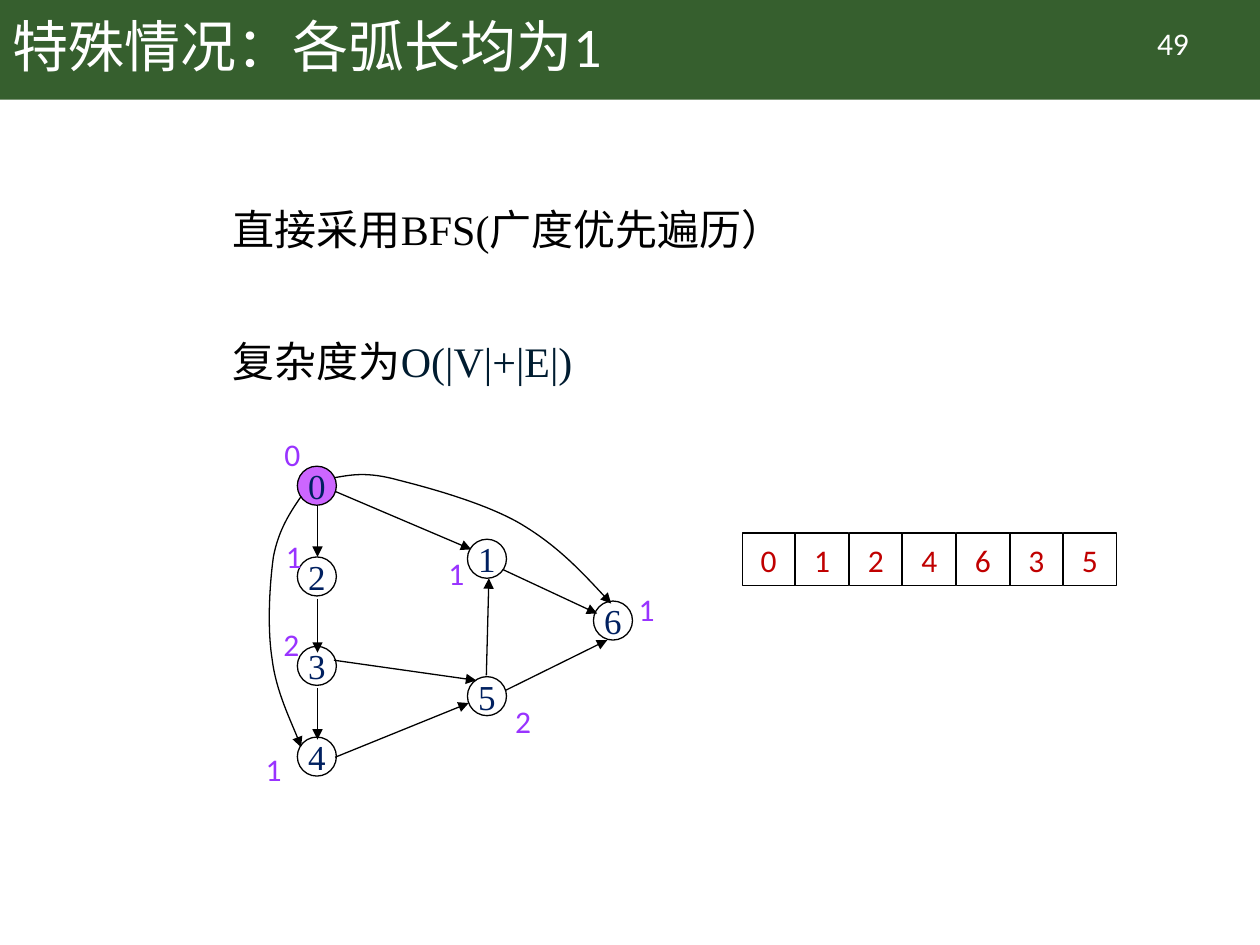
from lxml import etree
from pptx import Presentation
from pptx.dml.color import RGBColor
from pptx.enum import shapes, text
from pptx.oxml.ns import qn
from pptx.util import Inches, Pt

# Content
TITLE = "特殊情况：各弧长均为1"
PAGE = "49"
BODY = [
    [("直接采用BFS(广度优先遍历）", "black")],
    [("复杂度为", "black"), ("O(|V|+|E|)", "formula")],
]
# vertex: (left, top) of its circle, (left, top) of its distance label, distance
VERTICES = {
    "0": ((2.36, 3.70), (2.16, 3.40), "0"),
    "2": ((2.36, 4.42), (2.17, 4.21), "1"),
    "3": ((2.36, 5.13), (2.15, 4.91), "2"),
    "4": ((2.36, 5.85), (2.01, 5.90), "1"),
    "1": ((3.71, 4.28), (3.46, 4.35), "1"),
    "5": ((3.71, 5.37), (3.99, 5.52), "2"),
    "6": ((4.71, 4.77), (4.97, 4.63), "1"),
}
STRAIGHT_ARCS = [
    ((2.52, 4.02), (2.52, 4.42)),  # 0 to 2
    ((2.52, 4.75), (2.52, 5.18)),  # 2 to 3
    ((2.52, 5.46), (2.52, 5.87)),  # 3 to 4
    ((2.66, 3.90), (3.74, 4.36)),  # 0 to 1
    ((3.99, 4.52), (4.74, 4.87)),  # 1 to 6
    ((2.66, 6.01), (3.72, 5.58)),  # 4 to 5
    ((4.01, 5.48), (4.82, 5.08)),  # 5 to 6
    ((3.86, 5.36), (3.88, 4.59)),  # 5 to 1
    ((2.65, 5.24), (3.78, 5.40)),  # 3 to 5
]
# Bezier chains: a start, then two controls and an end for each piece
CURVED_ARCS = [
    [(2.39, 3.94), (2.30, 4.07), (2.21, 4.21), (2.17, 4.42), (2.14, 4.64),
     (2.12, 4.98), (2.16, 5.23), (2.19, 5.48), (2.35, 5.81), (2.39, 5.93)],
    [(2.66, 3.79), (2.78, 3.77), (2.91, 3.74), (3.16, 3.81), (3.40, 3.87),
     (3.84, 3.99), (4.12, 4.15), (4.41, 4.32), (4.63, 4.55), (4.85, 4.79)],
]
QUEUE = ["0", "1", "2", "4", "6", "3", "5"]

COLORS = {
    "banner": "365F2E", "white": "FFFFFF", "black": "000000",
    "formula": "001C30", "vertex": "002060", "start": "CC66FF",
    "distance": "9933FF", "queue": "C00000",
}
SANS, SERIF = "Calibri", "Times New Roman"
NODE = 0.31
CELL, QUEUE_LEFT, QUEUE_TOP, QUEUE_PITCH = 0.42, 5.89, 4.23, 0.425

prs = Presentation()
prs.slide_width, prs.slide_height = Inches(10), Inches(7.5)
slide = prs.slides.add_slide(prs.slide_layouts[6])


def rgb(name):
    return RGBColor.from_string(COLORS[name])


def add_run(paragraph, words, size, font, color):
    run = paragraph.add_run()
    run.text = words
    run.font.size, run.font.name = Pt(size), font
    run.font.color.rgb = rgb(color)


def add_box(left, top, width, height, wrap=True):
    frame = slide.shapes.add_textbox(*map(Inches, (left, top, width, height))).text_frame
    frame.word_wrap = wrap
    return frame


def add_preset(kind, left, top, width, height, fill=None, line=True):
    shape = slide.shapes.add_shape(kind, *map(Inches, (left, top, width, height)))
    shape.shadow.inherit = False
    if fill:
        shape.fill.solid()
        shape.fill.fore_color.rgb = rgb(fill)
    else:
        shape.fill.background()
    if line:
        outline(shape)
    else:
        shape.line.fill.background()
    return shape


def outline(shape):
    shape.line.color.rgb = rgb("black")
    shape.line.width = Pt(0.75)


def center_label(shape, words, size, font, color):
    frame = shape.text_frame
    frame.word_wrap = False
    frame.vertical_anchor = text.MSO_ANCHOR.MIDDLE
    frame.paragraphs[0].alignment = text.PP_ALIGN.CENTER
    add_run(frame.paragraphs[0], words, size, font, color)


def add_arrowhead(shape):
    outline(shape)
    line = shape._element.spPr.find(qn("a:ln"))
    etree.SubElement(line, qn("a:tailEnd"), type="triangle")


# Banner, title and page number
add_preset(shapes.MSO_SHAPE.RECTANGLE, 0, 0, 10, 0.79, "banner", line=False)
title = add_box(0, 0, 8.62, 0.79)
title.vertical_anchor = text.MSO_ANCHOR.MIDDLE
title.paragraphs[0].line_spacing = 0.9
add_run(title.paragraphs[0], TITLE, 32, SANS, "white")
page = add_box(8.71, 0.14, 1.2, 0.4).paragraphs[0]
page.alignment = text.PP_ALIGN.CENTER
add_run(page, PAGE, 18, SANS, "white")

# Body text
body = add_box(1.75, 1.45, 7.14, 1.63)
for i, runs in enumerate(BODY):
    paragraph = body.add_paragraph() if i else body.paragraphs[0]
    paragraph.line_spacing = 1.3
    paragraph.space_before = Pt(37.5 if i else 0)
    for words, color in runs:
        add_run(paragraph, words, 24, SERIF, color)

# Graph vertices
for vertex, (corner, _, _) in VERTICES.items():
    circle = add_preset(shapes.MSO_SHAPE.OVAL, *corner, NODE, NODE,
                        "start" if vertex == "0" else None)
    center_label(circle, vertex, 20, SERIF, "vertex")

# Straight arcs
for start, end in STRAIGHT_ARCS:
    arc = slide.shapes.add_connector(shapes.MSO_CONNECTOR.STRAIGHT,
                                     *map(Inches, start + end))
    add_arrowhead(arc)
    etree.SubElement(arc._element.spPr, qn("a:effectLst"))

# Curved arcs: every three points of the outline become one Bezier piece
for chain in CURVED_ARCS:
    start, *points = [(Inches(x), Inches(y)) for x, y in chain]
    builder = slide.shapes.build_freeform(*start)
    builder.add_line_segments(points, close=False)
    arc = builder.convert_to_shape()
    arc.shadow.inherit = False
    arc.fill.background()
    add_arrowhead(arc)
    segments = list(arc._element.iter(qn("a:lnTo")))
    curve = segments[0].getparent()
    for i in range(0, len(segments), 3):
        piece = etree.SubElement(curve, qn("a:cubicBezTo"))
        for segment in segments[i:i + 3]:
            piece.append(segment[0])
            curve.remove(segment)

# Visiting queue
for i, vertex in enumerate(QUEUE):
    cell = add_preset(shapes.MSO_SHAPE.RECTANGLE, QUEUE_LEFT + i * QUEUE_PITCH,
                      QUEUE_TOP, CELL, CELL)
    center_label(cell, vertex, 18, SANS, "queue")

# Distance labels
for _, corner, distance in VERTICES.values():
    label = add_box(*corner, 0.34, 0.4, wrap=False)
    add_run(label.paragraphs[0], distance, 18, SANS, "distance")

prs.save("out.pptx")
